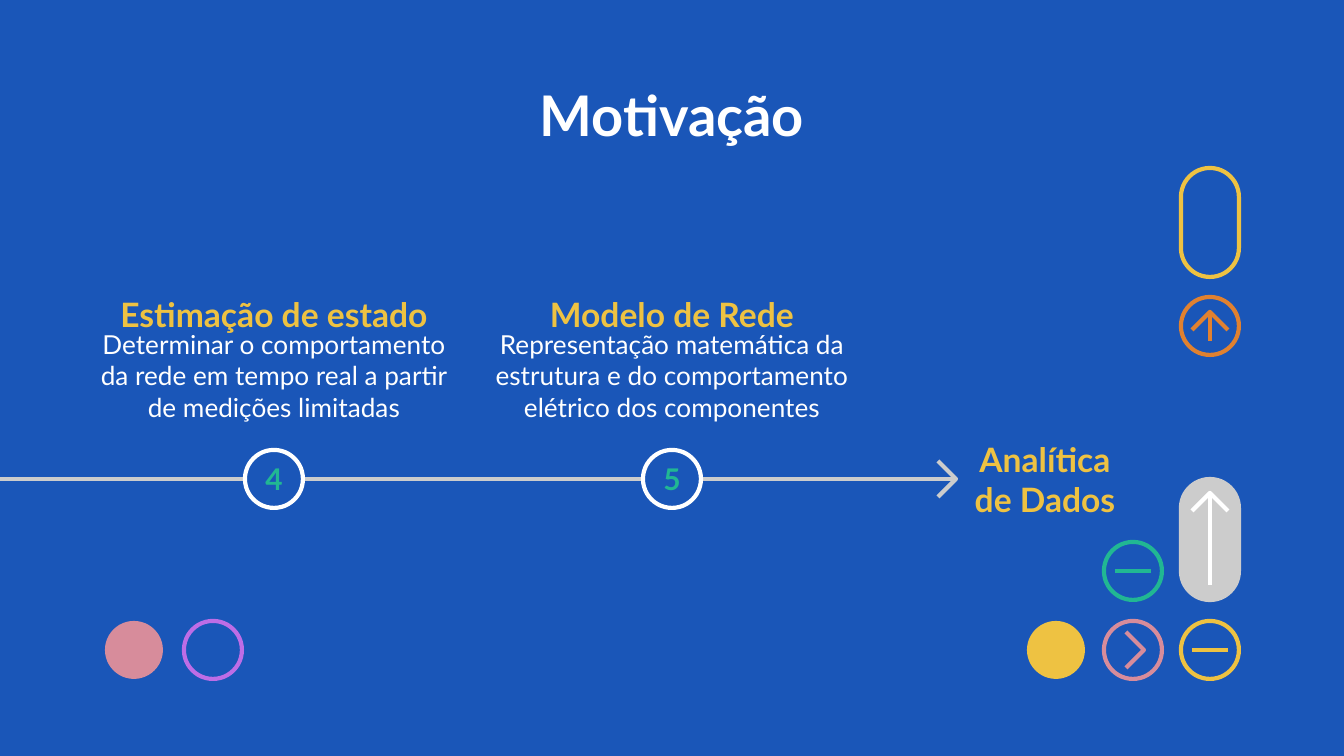
from dataclasses import dataclass

from lxml import etree
from pptx import Presentation
from pptx.dml.color import RGBColor
from pptx.enum.shapes import MSO_CONNECTOR, MSO_SHAPE
from pptx.enum.text import MSO_ANCHOR, PP_ALIGN
from pptx.oxml.ns import qn
from pptx.util import Pt

STRAIGHT = MSO_CONNECTOR.STRAIGHT
OVAL = MSO_SHAPE.OVAL
PILL = MSO_SHAPE.ROUNDED_RECTANGLE
MIDDLE = MSO_ANCHOR.MIDDLE
CENTER = PP_ALIGN.CENTER

EMU_PER_PX = 914400 / 134.4
DOT = 58  # diameter of every circle and width of every pill
ARM = 18  # reach of an arrowhead and half the length of a dash


@dataclass(frozen=True)
class Theme:
    font: str = "Lato"
    blue: str = "1A56B8"
    white: str = "FFFFFF"
    gray: str = "CCCCCC"
    yellow: str = "EEC242"
    green: str = "21B793"
    pink: str = "D78C9B"
    purple: str = "BD6DE6"
    orange: str = "E08130"
    title: int = 30
    heading: int = 18
    number: int = 16
    body: int = 14
    stroke: float = 2.25


THEME = Theme()


def px(value):
    return round(value * EMU_PER_PX)


def rgb(color):
    return RGBColor.from_string(color)


def set_line(part, color):
    part.line.color.rgb = rgb(color)
    part.line.width = Pt(THEME.stroke)


def write(frame, text, size, color, bold):
    frame.margin_left = frame.margin_right = 0
    frame.margin_top = frame.margin_bottom = 0
    frame.vertical_anchor = MIDDLE
    frame.word_wrap = True
    paragraph = frame.paragraphs[0]
    paragraph.text = text
    paragraph.alignment = CENTER
    font = paragraph.font
    font.name, font.size, font.bold = THEME.font, Pt(size), bold
    font.color.rgb = rgb(color)


def add_text(shapes, box, text, size, color, bold=True):
    label = shapes.add_textbox(*map(px, box))
    write(label.text_frame, text, size, color, bold)


def add_outline(shapes, kind, box, fill=None, line=None):
    outline = shapes.add_shape(kind, *map(px, box))
    outline.shadow.inherit = False
    if kind == PILL:
        outline.adjustments[0] = 0.5
    if fill:
        outline.fill.solid()
        outline.fill.fore_color.rgb = rgb(fill)
    else:
        outline.fill.background()
    if line:
        set_line(outline, line)
    else:
        outline.line.fill.background()
    return outline


def add_circle(shapes, left, top, fill=None, line=None):
    return add_outline(shapes, OVAL, (left, top, DOT, DOT), fill, line)


def add_pill(shapes, left, top, height, fill=None, line=None):
    return add_outline(shapes, PILL, (left, top, DOT, height), fill, line)


def add_stroke(shapes, x1, y1, x2, y2, color):
    stroke = shapes.add_connector(STRAIGHT, px(x1), px(y1), px(x2), px(y2))
    set_line(stroke, color)
    etree.SubElement(stroke._element.spPr, qn("a:effectLst"))


def add_chevron(shapes, x, y, color, up=False):
    """Open arrowhead with its tip at x, y, pointing right or up."""
    if up:
        start, end = (x - ARM, y + ARM), (x + ARM, y + ARM)
    else:
        start, end = (x - ARM, y - ARM), (x - ARM, y + ARM)
    builder = shapes.build_freeform(*start, scale=EMU_PER_PX)
    builder.add_line_segments([(x, y), end], close=False)
    chevron = builder.convert_to_shape()
    chevron.shadow.inherit = False
    chevron.fill.background()
    set_line(chevron, color)


def add_up_arrow(shapes, x, top, bottom, color):
    add_chevron(shapes, x, top, color, up=True)
    add_stroke(shapes, x, top, x, bottom, color)


def add_minus_icon(slide, left, top, color):
    parts = slide.shapes.add_group_shape().shapes
    add_circle(parts, left, top, line=color)
    x, y = left + DOT // 2, top + DOT // 2
    add_stroke(parts, x - ARM, y, x + ARM, y, color)


def add_milestone(slide, box, axis, number, heading, description):
    """Heading and description above a numbered marker centred on the axis."""
    left, top, width = box
    add_text(slide.shapes, (left, top, width, 52), heading,
             THEME.heading, THEME.yellow)
    add_text(slide.shapes, (left, top + 52, width, 71), description,
             THEME.body, THEME.white, bold=False)
    marker = add_circle(slide.shapes, left + (width - DOT) // 2, axis - DOT // 2,
                        THEME.blue, THEME.white)
    write(marker.text_frame, number, THEME.number, THEME.green, True)


def add_timeline(slide, box):
    left, top, width, height = box
    axis, tip = top + height, left + width
    add_stroke(slide.shapes, left, axis, tip, axis, THEME.gray)
    add_chevron(slide.shapes, tip, axis, THEME.gray)
    add_milestone(slide, (left + 90, top, 368), axis, "4", "Estimação de estado",
                  "Determinar o comportamento da rede em tempo real "
                  "a partir de medições limitadas")
    add_milestone(slide, (left + 480, top, 384), axis, "5", "Modelo de Rede",
                  "Representação matemática da estrutura e do comportamento "
                  "elétrico dos componentes")
    add_text(slide.shapes, (tip + 11, axis - 36, 156, 72), "Analítica de Dados",
             THEME.heading, THEME.yellow)


def add_left_ornaments(slide, left, top):
    add_circle(slide.shapes, left, top, fill=THEME.pink)
    add_circle(slide.shapes, left + 79, top, line=THEME.purple)


def add_right_ornaments(slide, left, top):
    """Icons in three columns, the last one rising along the right edge."""
    middle, right = left + 77, left + 154
    bottom = top + 453
    center = right + DOT // 2
    add_pill(slide.shapes, right, top, 109, line=THEME.yellow)

    rise = slide.shapes.add_group_shape().shapes
    add_circle(rise, right, top + 129, line=THEME.orange)
    add_up_arrow(rise, center, top + 144, top + 173, THEME.orange)

    climb = slide.shapes.add_group_shape().shapes
    add_pill(climb, right, top + 311, 121, THEME.gray, THEME.gray)
    add_up_arrow(climb, center, top + 325, top + 417, THEME.white)

    advance = slide.shapes.add_group_shape().shapes
    add_circle(advance, middle, bottom, line=THEME.pink)
    add_chevron(advance, middle + 40, bottom + DOT // 2, THEME.pink)

    add_minus_icon(slide, middle, top + 374, THEME.green)
    add_minus_icon(slide, right, bottom, THEME.yellow)
    add_circle(slide.shapes, left, bottom, fill=THEME.yellow)


def main():
    deck = Presentation()
    deck.slide_width, deck.slide_height = px(1344), px(756)
    slide = deck.slides.add_slide(deck.slide_layouts[6])
    slide.background.fill.solid()
    slide.background.fill.fore_color.rgb = rgb(THEME.blue)

    add_text(slide.shapes, (105, 79, 1134, 70), "Motivação",
             THEME.title, THEME.white)
    add_timeline(slide, (0, 288, 956, 191))
    add_left_ornaments(slide, 105, 621)
    add_right_ornaments(slide, 1027, 168)
    deck.save("out.pptx")


if __name__ == "__main__":
    main()
